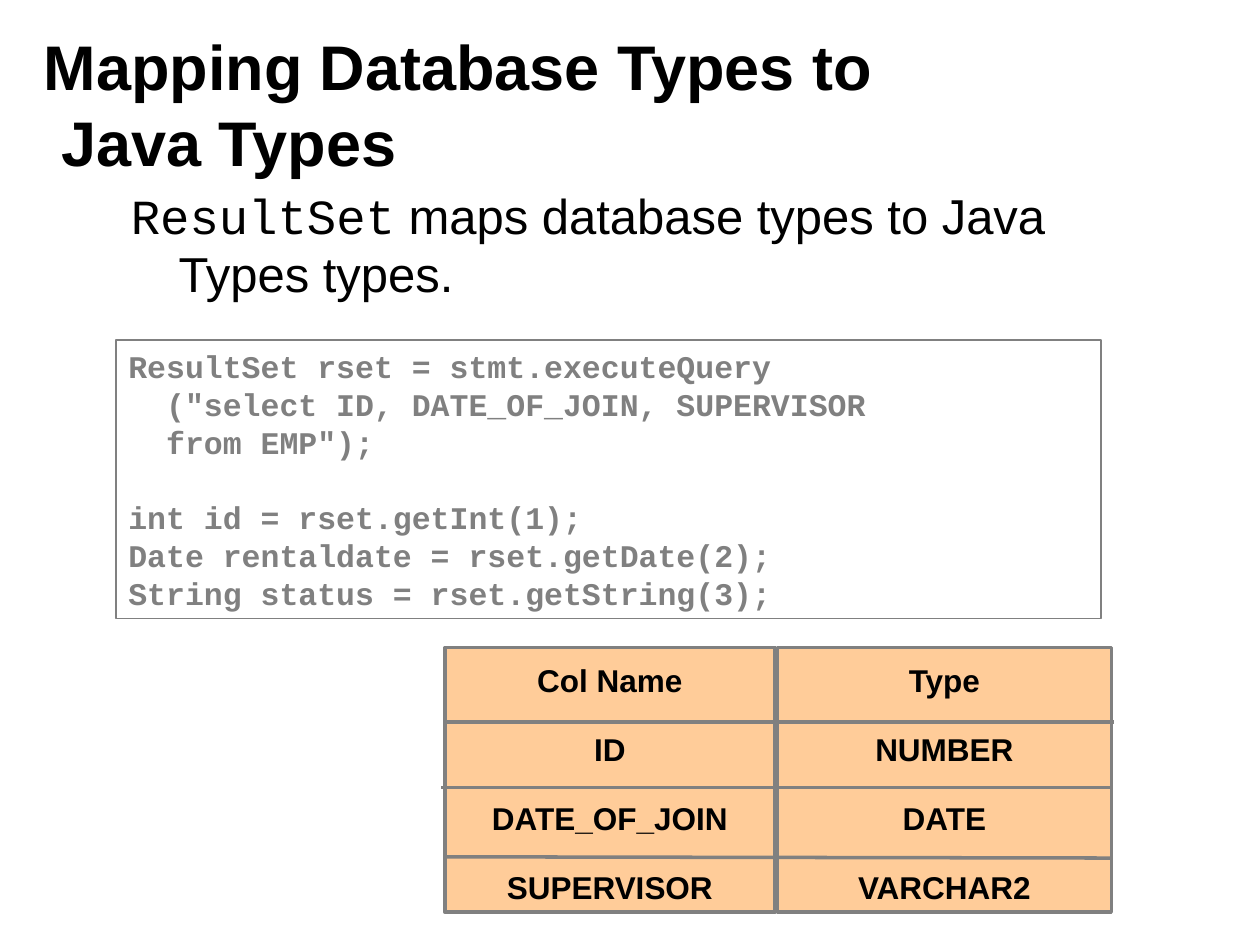
from lxml.etree import SubElement
from pptx import Presentation
from pptx.dml.color import RGBColor
from pptx.enum.shapes import MSO_CONNECTOR, MSO_SHAPE
from pptx.enum.text import MSO_ANCHOR, PP_ALIGN
from pptx.oxml.ns import qn
from pptx.util import Inches, Pt

# Content
TITLE = "Mapping Database Types to\v Java Types"
BODY = [("ResultSet", "code"), (" maps database types to Java Types types.", "body")]
CODE = [
    "ResultSet rset = stmt.executeQuery",
    '  ("select ID, DATE_OF_JOIN, SUPERVISOR\v  from EMP");',
    "",
    "int id = rset.getInt(1);",
    "Date rentaldate = rset.getDate(2);",
    "String status = rset.getString(3);",
]
TYPE_COLUMNS = [
    ["Col Name", "ID", "DATE_OF_JOIN", "SUPERVISOR"],
    ["Type", "NUMBER", "DATE", "VARCHAR2"],
]

# Look and places (inches)
COLORS = {"text": "000000", "gray": "808080", "panel": "FFFFFF", "cell": "FFCC99"}
FORMATS = {
    "title": {"name": "Arial", "size": Pt(36), "bold": True},
    "body": {"name": "Arial", "size": Pt(28), "bold": False},
    "code": {"name": "Courier New", "size": Pt(28), "bold": False},
    "listing": {"name": "Courier New", "size": Pt(18), "bold": True},
    "cell": {"name": "Arial", "size": Pt(18), "bold": True},
}
TITLE_BOX = (0.25, 0.17, 9.5, 1.25)
BODY_BOX = (0.94, 1.42, 8.08, 1.04)
CODE_BOX = (0.92, 2.7, 7.82, 2.21)
COLUMNS_TOP, COLUMNS_HEIGHT = 5.14, 2.1
COLUMN_SPANS = [(3.53, 2.62), (6.17, 2.65)]  # left, width
ROW_RULES = [  # start x, start y, end x, end y
    (3.53, 5.73, 8.84, 5.73),
    (3.5, 6.25, 8.82, 6.25),
    (3.52, 6.8, 8.83, 6.81),
]
HANGING = 0.38


def rgb(name):
    return RGBColor.from_string(COLORS[name])


def style(font, format_name, color="text"):
    for attribute, value in FORMATS[format_name].items():
        setattr(font, attribute, value)
    font.color.rgb = rgb(color)


def add_text_box(slide, box):
    frame = slide.shapes.add_textbox(*map(Inches, box)).text_frame
    frame.word_wrap = True
    return frame


def add_panel(shapes, box, fill, line_width, lines, format_name, color, alignment):
    panel = shapes.add_shape(MSO_SHAPE.RECTANGLE, *map(Inches, box))
    panel.shadow.inherit = False
    panel.fill.solid()
    panel.fill.fore_color.rgb = rgb(fill)
    panel.line.color.rgb = rgb("gray")
    panel.line.width = Pt(line_width)
    frame = panel.text_frame
    frame.word_wrap = True
    frame.text = "\n".join(lines)
    for paragraph in frame.paragraphs:
        paragraph.alignment = alignment
        style(paragraph.font, format_name, color)
        for run in paragraph.runs:
            style(run.font, format_name, color)
    return frame


presentation = Presentation()
presentation.slide_width, presentation.slide_height = Inches(10), Inches(7.5)
slide = presentation.slides.add_slide(presentation.slide_layouts[6])

# Title
frame = add_text_box(slide, TITLE_BOX)
frame.vertical_anchor = MSO_ANCHOR.TOP
paragraph = frame.paragraphs[0]
paragraph.text = TITLE
for run in paragraph.runs:
    style(run.font, "title")

# Statement with a hanging indent
paragraph = add_text_box(slide, BODY_BOX).paragraphs[0]
indent = paragraph._p.get_or_add_pPr()
indent.set("marL", str(Inches(HANGING)))
indent.set("indent", str(Inches(-HANGING)))
for text, format_name in BODY:
    run = paragraph.add_run()
    run.text = text
    style(run.font, format_name)

# Code panel
frame = add_panel(slide.shapes, CODE_BOX, "panel", 1, CODE,
                  "listing", "gray", PP_ALIGN.LEFT)
frame.vertical_anchor = MSO_ANCHOR.MIDDLE

# Column types: two filled columns, ruled into rows
group = slide.shapes.add_group_shape()
for (left, width), texts in zip(COLUMN_SPANS, TYPE_COLUMNS):
    box = (left, COLUMNS_TOP, width, COLUMNS_HEIGHT)
    frame = add_panel(group.shapes, box, "cell", 2, texts,
                      "cell", "text", PP_ALIGN.CENTER)
    frame.vertical_anchor = MSO_ANCHOR.TOP
    for index, paragraph in enumerate(frame.paragraphs):
        paragraph.line_spacing = 1.2
        if index:
            paragraph.space_before = Pt(13.5)
for ends in ROW_RULES:
    rule = group.shapes.add_connector(MSO_CONNECTOR.STRAIGHT, *map(Inches, ends))
    rule.line.color.rgb = rgb("gray")
    rule.line.width = Pt(2)
    SubElement(rule._element.spPr, qn("a:effectLst"))

presentation.save("out.pptx")
